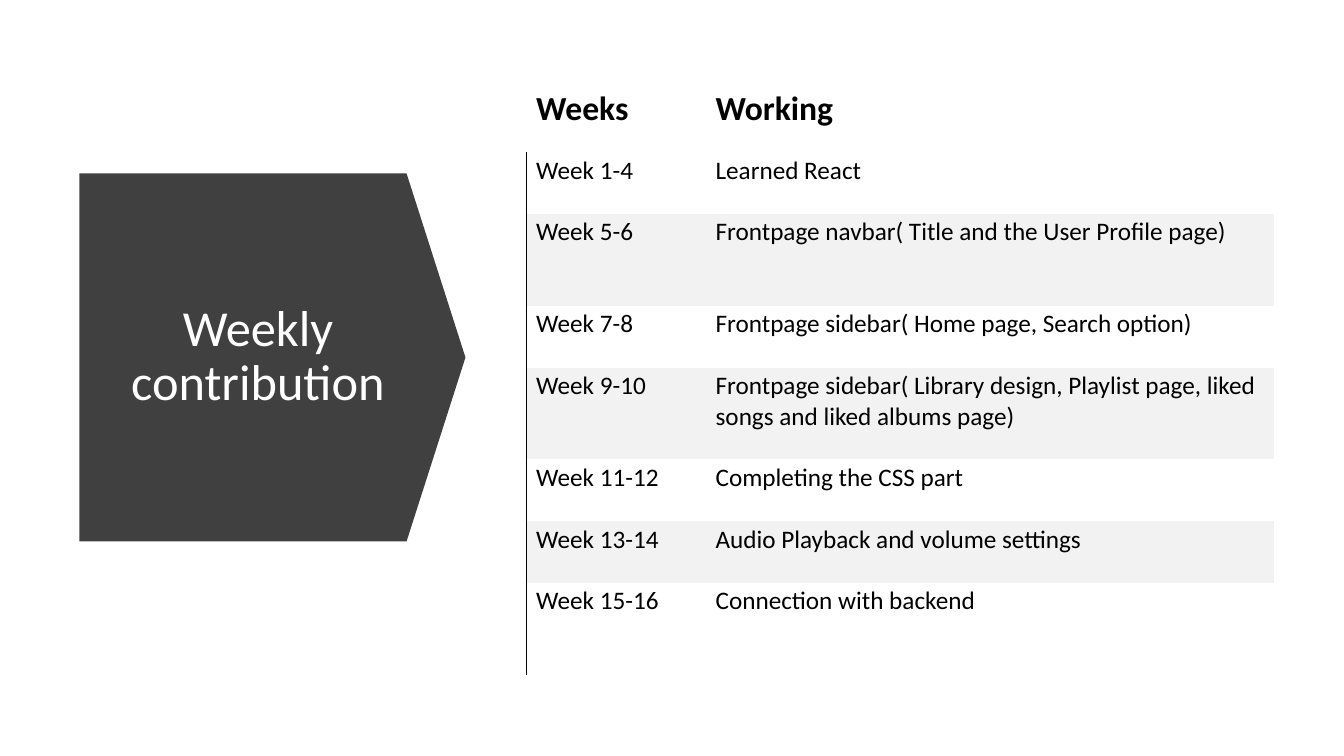
from dataclasses import dataclass

import lxml.etree
import pptx
import pptx.dml.color
import pptx.enum.shapes
import pptx.enum.text
import pptx.oxml.ns
import pptx.util

Pt = pptx.util.Pt
FONT = "Calibri"
COLOURS = {"arrow": "404040", "band": "F2F2F2", "text": "000000", "title": "FFFFFF"}
PLAIN_TABLE_STYLE = "{2D5ABB26-0587-4C30-8999-92F81FD0307C}"
HEADER_HEIGHT, SHORT, TALL = 51.1, 44.1, 65.7
COLUMN_WIDTHS = (128.2, 406.1)


@dataclass
class Entry:
    weeks: str
    working: str
    height: float = SHORT


HEADER = Entry("Weeks", "Working", HEADER_HEIGHT)
ENTRIES = [
    Entry("Week 1-4", "Learned React"),
    Entry("Week 5-6", "Frontpage navbar( Title and the User Profile page)", TALL),
    Entry("Week 7-8", "Frontpage sidebar( Home page, Search option)"),
    Entry("Week 9-10", "Frontpage sidebar( Library design, Playlist page, "
          "liked songs and liked albums page)", TALL),
    Entry("Week 11-12", "Completing the CSS part"),
    Entry("Week 13-14", "Audio Playback and volume settings"),
    Entry("Week 15-16", "Connection with backend", TALL),
]


def rgb(name: str) -> pptx.dml.color.RGBColor:
    return pptx.dml.color.RGBColor.from_string(COLOURS[name])


def format_runs(paragraph, size: float, colour: str, bold: bool = False) -> None:
    for run in paragraph.runs:
        run.font.name = FONT
        run.font.size = Pt(size)
        run.font.bold = bold
        run.font.color.rgb = rgb(colour)


def add_left_border(cell) -> None:
    qn = pptx.oxml.ns.qn
    border = lxml.etree.Element(qn("a:lnL"), w=str(Pt(0.75)))
    fill = lxml.etree.SubElement(border, qn("a:solidFill"))
    lxml.etree.SubElement(fill, qn("a:srgbClr"), val=COLOURS["text"])
    cell._tc.get_or_add_tcPr().insert(0, border)


def add_arrow(slide) -> None:
    arrow = slide.shapes.add_shape(
        pptx.enum.shapes.MSO_SHAPE.DOWN_ARROW, Pt(63.2), Pt(117.4), Pt(262.8), Pt(275.8))
    arrow.rotation = 270
    arrow.adjustments[0] = 1
    arrow.adjustments[1] = 0.16
    arrow.shadow.inherit = False
    arrow.fill.solid()
    arrow.fill.fore_color.rgb = rgb("arrow")
    arrow.line.fill.background()


def place_title(slide) -> None:
    """Put the title placeholder in front of the arrow and format it."""
    title = slide.shapes.title
    slide.shapes._spTree.append(title._element)
    title.left, title.top, title.width, title.height = Pt(80.6), Pt(154.8), Pt(207.4), Pt(200.9)
    frame = title.text_frame
    frame.text = "Weekly contribution"
    frame.word_wrap = True
    frame.auto_size = pptx.enum.text.MSO_AUTO_SIZE.NONE
    frame.vertical_anchor = pptx.enum.text.MSO_ANCHOR.MIDDLE
    paragraph = frame.paragraphs[0]
    paragraph.alignment = pptx.enum.text.PP_ALIGN.CENTER
    paragraph.line_spacing = 0.9
    format_runs(paragraph, 36, "title")


def fill_cell(cell, text: str, is_header: bool, is_banded: bool) -> None:
    cell.text_frame.text = text
    cell.margin_left, cell.margin_top = Pt(7.2), Pt(2.2)
    cell.margin_right, cell.margin_bottom = Pt(10.8), Pt(15.8)
    anchors = pptx.enum.text.MSO_ANCHOR
    cell.vertical_anchor = anchors.BOTTOM if is_header else anchors.TOP
    format_runs(cell.text_frame.paragraphs[0], 24 if is_header else 18, "text", is_header)
    if is_banded:
        cell.fill.solid()
        cell.fill.fore_color.rgb = rgb("band")
    else:
        cell.fill.background()


def add_schedule(slide) -> None:
    rows = [HEADER, *ENTRIES]
    schedule = slide.shapes.add_table(
        len(rows), len(COLUMN_WIDTHS), Pt(375.8), Pt(57.6),
        Pt(sum(COLUMN_WIDTHS)), Pt(sum(entry.height for entry in rows))).table
    schedule.horz_banding = False
    schedule._tbl.tblPr.find(pptx.oxml.ns.qn("a:tableStyleId")).text = PLAIN_TABLE_STYLE
    for column, width in zip(schedule.columns, COLUMN_WIDTHS):
        column.width = Pt(width)
    for index, entry in enumerate(rows):
        schedule.rows[index].height = Pt(entry.height)
        is_header = index == 0
        is_banded = not is_header and index % 2 == 0
        for column, text in enumerate((entry.weeks, entry.working)):
            fill_cell(schedule.cell(index, column), text, is_header, is_banded)
        if not is_header:
            add_left_border(schedule.cell(index, 0))


def main() -> None:
    presentation = pptx.Presentation()
    presentation.slide_width, presentation.slide_height = Pt(960), Pt(540)
    slide = presentation.slides.add_slide(presentation.slide_layouts.get_by_name("Title Only"))
    add_arrow(slide)
    place_title(slide)
    add_schedule(slide)
    presentation.save("out.pptx")


if __name__ == "__main__":
    main()
